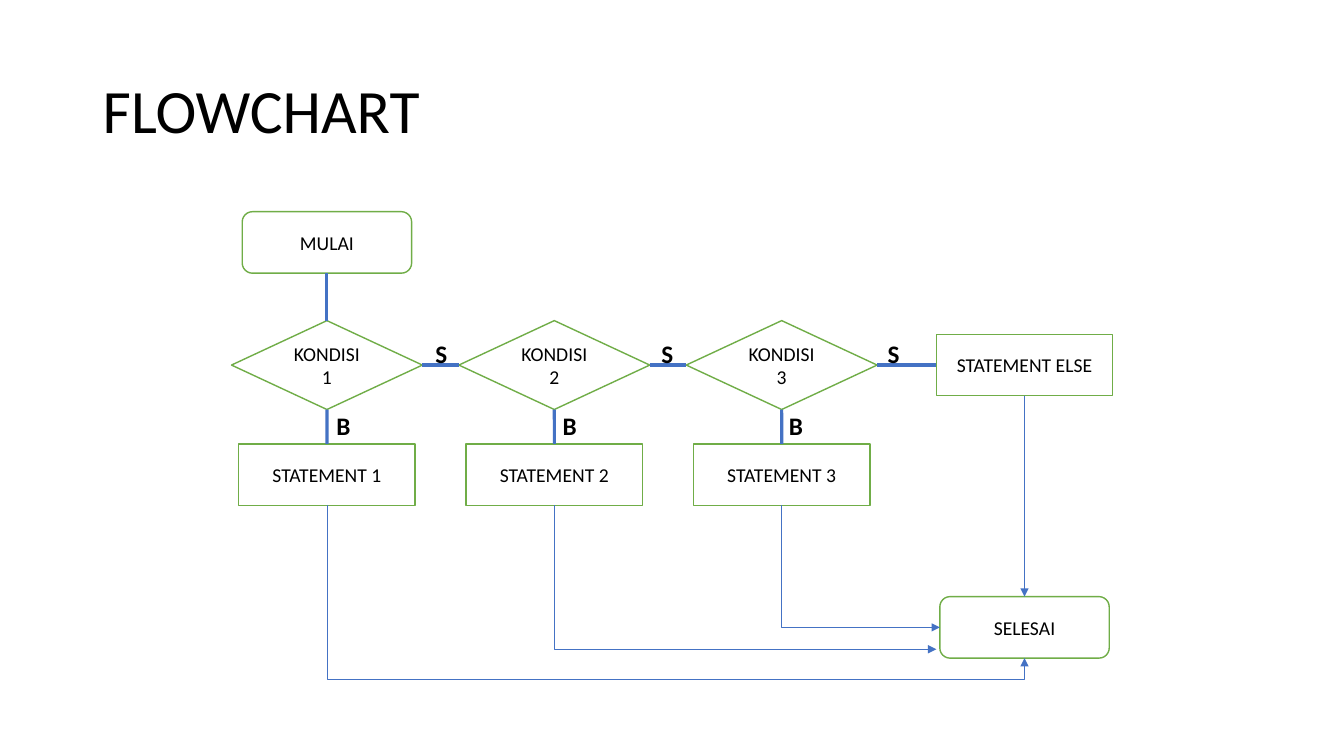
from lxml import etree
from pptx import Presentation, util as u
from pptx.dml.color import RGBColor
from pptx.enum import shapes, text
from pptx.oxml.ns import qn

TOP, LEFT, BOTTOM, RIGHT = range(4)
KIND = shapes.MSO_SHAPE
TERMINAL = (KIND.FLOWCHART_ALTERNATE_PROCESS, 4.27, 1.55)
DECISION = (KIND.FLOWCHART_DECISION, 4.81, 2.24)
PROCESS = (KIND.RECTANGLE, 4.45, 1.55)


def color(hex_code):
    return RGBColor.from_string(hex_code)


class Flowchart:
    """Style and current slide; lengths are in centimetres."""
    font = "Calibri"
    ink, paper, border, link = "000000", "FFFFFF", "70AD47", "4472C4"

    def __init__(self, slide):
        self.slide = slide

    def add_words(self, frame, words, size, bold=False):
        paragraph = frame.paragraphs[0]
        run = paragraph.add_run()
        run.text = words
        run.font.name, run.font.size, run.font.bold = self.font, u.Pt(size), bold
        run.font.color.rgb = color(self.ink)
        return paragraph

    def label(self, words, x, y, width, height, size, bold=False, wrap=False):
        box = self.slide.shapes.add_textbox(*map(u.Cm, (x, y, width, height)))
        box.text_frame.word_wrap = wrap
        self.add_words(box.text_frame, words, size, bold)
        return box.text_frame

    def node(self, words, style, center_x, center_y):
        kind, width, height = style
        box = self.slide.shapes.add_shape(
            kind, u.Cm(center_x - width / 2), u.Cm(center_y - height / 2),
            u.Cm(width), u.Cm(height))
        box.shadow.inherit = False
        box.fill.solid()
        box.fill.fore_color.rgb = color(self.paper)
        box.line.color.rgb = color(self.border)
        box.line.width = u.Pt(1)
        box.text_frame.word_wrap = True
        box.text_frame.vertical_anchor = text.MSO_ANCHOR.MIDDLE
        self.add_words(box.text_frame, words, 14).alignment = text.PP_ALIGN.CENTER
        return box

    def connector(self, kind, ends, weight, arrow):
        line = self.slide.shapes.add_connector(kind, *map(u.Cm, ends))
        line.line.color.rgb = color(self.link)
        line.line.width = u.Pt(weight)
        properties = line._element.spPr
        if arrow:
            etree.SubElement(properties.find(qn("a:ln")), qn("a:tailEnd"), type="triangle")
        etree.SubElement(properties, qn("a:effectLst"))
        return line

    def join(self, start, start_side, end, end_side, weight=2.25, arrow=False):
        line = self.connector(shapes.MSO_CONNECTOR.STRAIGHT, (0, 0, 0, 0), weight, arrow)
        line.begin_connect(start, start_side)
        line.end_connect(end, end_side)

    def elbow(self, x1, y1, x2, y2, overshoot=None):
        """Leave downwards, then turn; overshoot runs below the end and back up."""
        across, down = x2 - x1, y2 - y1
        left, top = (x1 + x2 - down) / 2, (y1 + y2 - across) / 2
        line = self.connector(shapes.MSO_CONNECTOR.ELBOW,
                              (left, top, left + down, top + across), 0.5, True)
        properties = line._element.spPr
        frame = properties.find(qn("a:xfrm"))
        frame.set("rot", "16200000")
        frame.set("flipH", "1")
        geometry = properties.find(qn("a:prstGeom"))
        if overshoot is None:
            geometry.set("prst", "bentConnector2")
        else:
            ratio = round((down + overshoot) / down * 100000)
            etree.SubElement(geometry.find(qn("a:avLst")), qn("a:gd"),
                             name="adj1", fmla=f"val {ratio}")


def main():
    deck = Presentation()
    deck.slide_width, deck.slide_height = u.Cm(33.87), u.Cm(19.05)
    chart = Flowchart(deck.slides.add_slide(deck.slide_layouts[6]))

    # Title
    title = chart.label("FLOWCHART", 2.34, 1.02, 29.21, 3.68, 44, wrap=True)
    title.vertical_anchor = text.MSO_ANCHOR.MIDDLE
    title.paragraphs[0].line_spacing = 0.9

    # Start, else branch and end
    columns = [8.24 + 5.73 * i for i in range(3)]
    last_column, condition_y, statement_y, end_y = 25.82, 9.2, 11.96, 15.81
    mulai = chart.node("MULAI", TERMINAL, columns[0], 6.11)
    statement_else = chart.node("STATEMENT ELSE", PROCESS, last_column, condition_y)
    selesai = chart.node("SELESAI", TERMINAL, last_column, end_y)

    # Conditions with their statements
    conditions = []
    for number, x in enumerate(columns, 1):
        condition = chart.node(f"KONDISI {number}", DECISION, x, condition_y)
        statement = chart.node(f"STATEMENT {number}", PROCESS, x, statement_y)
        chart.join(condition, BOTTOM, statement, TOP)
        conditions.append(condition)

    # False path, from one condition to the next
    chart.join(mulai, BOTTOM, conditions[0], TOP)
    for condition, following in zip(conditions, conditions[1:] + [statement_else]):
        chart.join(condition, RIGHT, following, LEFT)

    # Arrows to the end
    chart.join(statement_else, BOTTOM, selesai, TOP, 0.5, True)
    statement_bottom = statement_y + PROCESS[2] / 2
    selesai_left = last_column - TERMINAL[1] / 2
    selesai_bottom = end_y + TERMINAL[2] / 2
    chart.elbow(columns[2], statement_bottom, selesai_left, end_y)
    chart.elbow(columns[1], statement_bottom, selesai_left - 0.09, end_y + 0.55)
    chart.elbow(columns[0], statement_bottom, last_column, selesai_bottom, 0.54)

    # Branch labels
    for i in range(3):
        chart.label("S", 10.72 + 5.7 * i, 8.41, 0.81, 1.02, 18, bold=True)
        chart.label("B", 8.23 + 5.7 * i, 10.21, 0.86, 1.02, 18, bold=True)

    deck.save("out.pptx")


if __name__ == "__main__":
    main()
